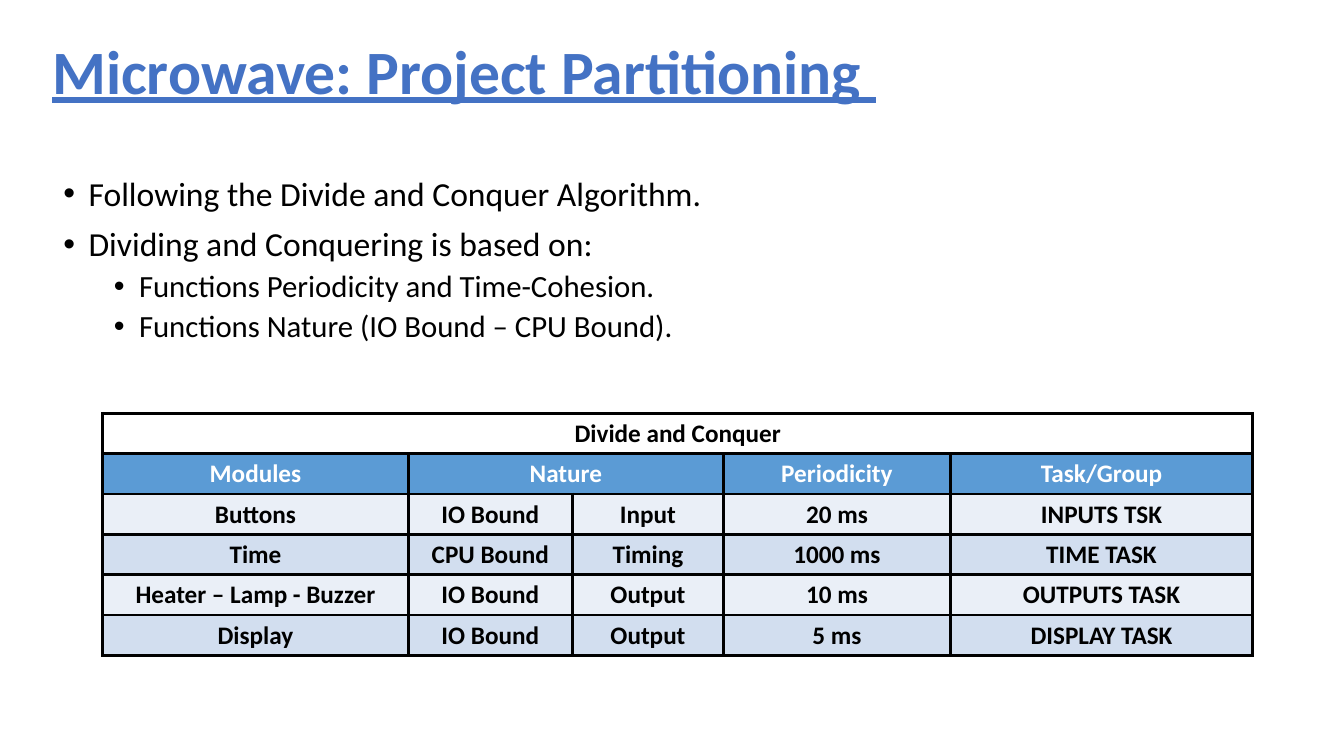
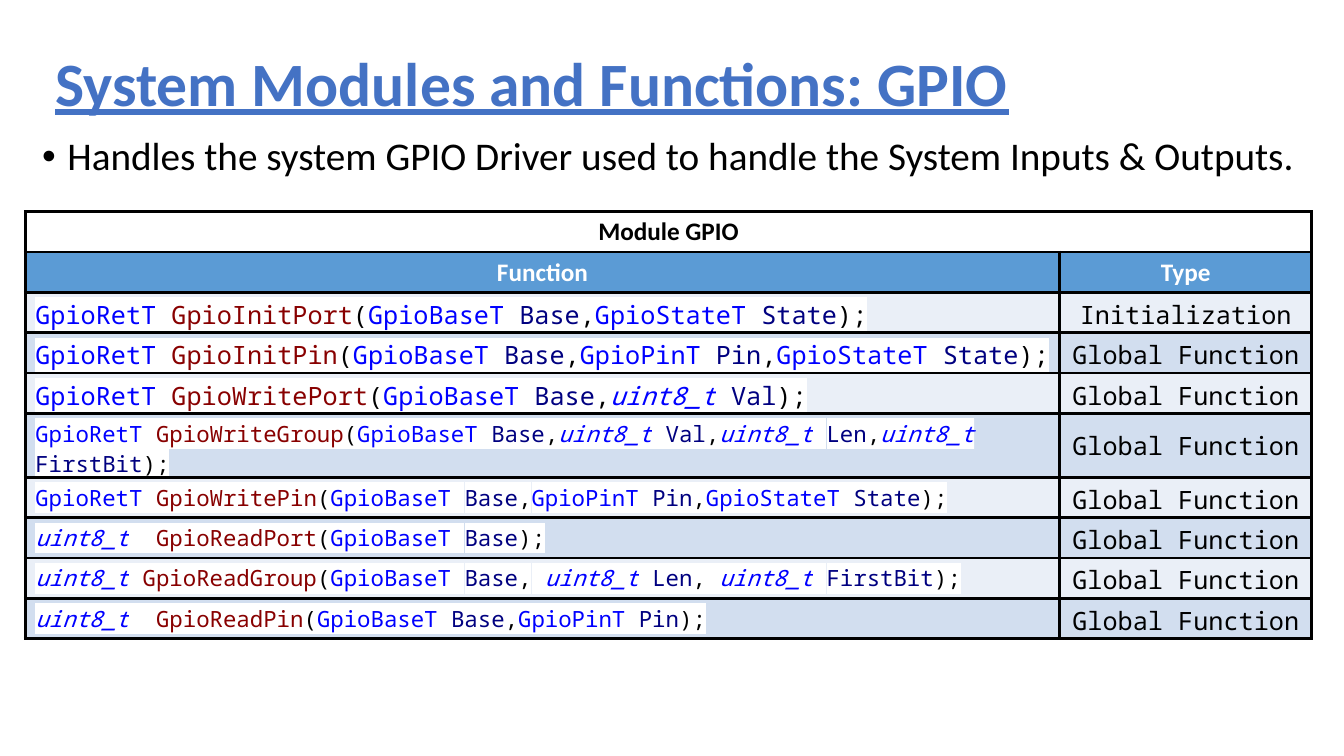
from dataclasses import dataclass
from typing import Optional

from lxml.etree import SubElement
from pptx import Presentation
from pptx.dml.color import RGBColor
from pptx.enum.text import MSO_ANCHOR, PP_ALIGN
from pptx.oxml.ns import qn
from pptx.util import Inches, Pt

SLIDE_WIDTH, SLIDE_HEIGHT = Inches(13.33), Inches(7.5)
BODY_FONT, CODE_FONT = "Calibri", "Noto Sans Mono"
BLACK, WHITE, ACCENT = "000000", "FFFFFF", "4472C4"
HEADING_FILL, BAND_FILLS = "5B9BD5", ("EAEFF7", "D2DEEF")
TYPE_NAME, FUNCTION_NAME, PARAMETER_NAME, SPACE = "0000FF", "880000", "000080", "A31515"
ROW_SHARE = 5.33
BORDER_POINTS = 2.25


@dataclass(frozen=True)
class Area:
    """A rectangle in percent of the slide's width and height."""
    left: float
    top: float
    width: float
    height: float = 0

    def box(self) -> tuple:
        """Return left, top, width and height as lengths."""
        return (across(self.left), down(self.top), across(self.width), down(self.height))


@dataclass(frozen=True)
class Piece:
    """A run of text with its character style."""
    text: str
    size: float = 18
    color: str = BLACK
    font: str = BODY_FONT
    bold: bool = False
    italic: bool = False
    underline: bool = False
    highlight: Optional[str] = None


@dataclass(frozen=True)
class Bullet:
    """One bulleted line."""
    text: str
    size: float
    level: int = 0


@dataclass(frozen=True)
class Cell:
    """The runs of a table cell and their alignment."""
    pieces: tuple
    align: PP_ALIGN = PP_ALIGN.CENTER


@dataclass(frozen=True)
class Signature:
    """A C function: return type, name and (type, name) parameters."""
    returns: str
    name: str
    parameters: tuple
    size: float = 16
    name_gap: str = " "
    comma_gap: str = ""
    kind: str = "Global Function"


def across(share: float) -> int:
    """Turn a percentage of the slide's width into a length."""
    return round(SLIDE_WIDTH * share / 100)


def down(share: float) -> int:
    """Turn a percentage of the slide's height into a length."""
    return round(SLIDE_HEIGHT * share / 100)


def rgb(color: str) -> RGBColor:
    """Turn a hex string into a colour."""
    return RGBColor.from_string(color)


def add_piece(paragraph, piece: Piece) -> None:
    """Append one styled run to a paragraph."""
    run = paragraph.add_run()
    run.text = piece.text
    font = run.font
    font.name, font.size = piece.font, Pt(piece.size)
    font.bold, font.italic, font.underline = piece.bold, piece.italic, piece.underline
    font.color.rgb = rgb(piece.color)
    if piece.highlight:
        properties = font._element
        highlight = SubElement(properties, qn("a:highlight"))
        SubElement(highlight, qn("a:srgbClr"), val=piece.highlight)
        properties.find(qn("a:solidFill")).addnext(highlight)


def add_text_frame(slide, area: Area, anchor: MSO_ANCHOR):
    """Add a wrapping text box and return its text frame."""
    frame = slide.shapes.add_textbox(*area.box()).text_frame
    frame.word_wrap = True
    frame.vertical_anchor = anchor
    return frame


def add_title(slide, text: str, area: Area) -> None:
    """Draw the underlined slide title."""
    paragraph = add_text_frame(slide, area, MSO_ANCHOR.MIDDLE).paragraphs[0]
    paragraph.line_spacing = 0.9
    add_piece(paragraph, Piece(text, 44, ACCENT, bold=True, underline=True))


def add_bullets(slide, bullets: tuple, area: Area) -> None:
    """Draw the bulleted lines, indented by level."""
    frame = add_text_frame(slide, area, MSO_ANCHOR.TOP)
    for index, bullet in enumerate(bullets):
        paragraph = frame.add_paragraph() if index else frame.paragraphs[0]
        paragraph.level = bullet.level
        paragraph.line_spacing = 0.9
        paragraph.space_before = Pt(5 if bullet.level else 10)
        properties = paragraph._p.get_or_add_pPr()
        properties.set("marL", str(Inches(0.25 + 0.5 * bullet.level)))
        properties.set("indent", str(-Inches(0.25)))
        SubElement(properties, qn("a:buFont"), typeface="Arial")
        SubElement(properties, qn("a:buChar"), char="•")
        add_piece(paragraph, Piece(bullet.text, bullet.size))


def add_borders(cell) -> None:
    """Give a table cell black lines on all four sides."""
    properties = cell._tc.get_or_add_tcPr()
    for position, side in enumerate(("lnL", "lnR", "lnT", "lnB")):
        line = SubElement(properties, qn(f"a:{side}"), w=str(Pt(BORDER_POINTS)))
        fill = SubElement(line, qn("a:solidFill"))
        SubElement(fill, qn("a:srgbClr"), val=BLACK)
        properties.insert(position, line)


def row_fill(row: int) -> str:
    """Choose the fill for the caption, the headings or a banded row."""
    return (WHITE, HEADING_FILL)[row] if row < 2 else BAND_FILLS[row % 2]


def add_grid(slide, rows: list, area: Area, widths: tuple) -> None:
    """Draw a table; a None cell extends the cell on its left."""
    left, top, width, _ = area.box()
    height = down(ROW_SHARE * len(rows))
    table = slide.shapes.add_table(len(rows), len(widths), left, top, width, height).table
    table.first_row = table.horz_banding = False
    for column, share in zip(table.columns, widths):
        column.width = round(width * share / sum(widths))
    for row_index, row in enumerate(rows):
        table.rows[row_index].height = down(ROW_SHARE)
        for column_index, content in enumerate(row):
            cell = table.cell(row_index, column_index)
            cell.fill.solid()
            cell.fill.fore_color.rgb = rgb(row_fill(row_index))
            add_borders(cell)
            if content is None:
                continue
            end = column_index
            while end + 1 < len(row) and row[end + 1] is None:
                end += 1
            if end > column_index:
                cell.merge(table.cell(row_index, end))
            cell.vertical_anchor = MSO_ANCHOR.MIDDLE
            paragraph = cell.text_frame.paragraphs[0]
            paragraph.alignment = content.align
            for piece in content.pieces:
                add_piece(paragraph, piece)


def bold_row(texts: tuple, color: str = BLACK) -> list:
    """Make a row of bold cells, keeping None for extended cells."""
    return [text and Cell((Piece(text, color=color, bold=True),)) for text in texts]


def signature_cell(signature: Signature) -> Cell:
    """Colour the parts of a function signature."""
    def code(text: str, color: str) -> Piece:
        """Style one token; built-in types are italic."""
        return Piece(text, signature.size, color, CODE_FONT,
                     italic=text == "uint8_t", highlight=WHITE)

    pieces = [code(signature.returns, TYPE_NAME), code(signature.name_gap, SPACE),
              code(signature.name, FUNCTION_NAME), code("(", BLACK)]
    for index, (type_name, name) in enumerate(signature.parameters):
        if index:
            pieces.append(code(",", BLACK))
            if signature.comma_gap:
                pieces.append(code(signature.comma_gap, SPACE))
        pieces += [code(type_name, TYPE_NAME), code(" ", SPACE), code(name, PARAMETER_NAME)]
    return Cell((*pieces, code(");", BLACK)), PP_ALIGN.LEFT)


def signature_row(signature: Signature) -> list:
    """Make the table row of one function."""
    return [signature_cell(signature), Cell((Piece(signature.kind, font=CODE_FONT),))]


PARTITION_BULLETS = (
    Bullet("Following the Divide and Conquer Algorithm.", 24),
    Bullet("Dividing and Conquering is based on:", 24),
    Bullet("Functions Periodicity and Time-Cohesion. ", 22, 1),
    Bullet("Functions Nature (IO Bound – CPU Bound).", 22, 1),
)
MODULES = (
    ("Buttons", "IO Bound", "Input", "20 ms", "INPUTS TSK"),
    ("Time", "CPU Bound", "Timing", "1000 ms", "TIME TASK"),
    ("Heater – Lamp - Buzzer", "IO Bound", "Output", "10 ms", "OUTPUTS TASK"),
    ("Display", "IO Bound", "Output", "5 ms", "DISPLAY TASK"),
)
BASE, PIN, STATE = ("GpioBaseT", "Base"), ("GpioPinT", "Pin"), ("GpioStateT", "State")
VAL, LEN, FIRST_BIT = (("uint8_t", name) for name in ("Val", "Len", "FirstBit"))
GPIO_FUNCTIONS = (
    Signature("GpioRetT", "GpioInitPort", (BASE, STATE), 18, kind="Initialization"),
    Signature("GpioRetT", "GpioInitPin", (BASE, PIN, STATE), 18),
    Signature("GpioRetT", "GpioWritePort", (BASE, VAL), 18),
    Signature("GpioRetT", "GpioWriteGroup", (BASE, VAL, LEN, FIRST_BIT)),
    Signature("GpioRetT", "GpioWritePin", (BASE, PIN, STATE)),
    Signature("uint8_t", "GpioReadPort", (BASE,), name_gap="  "),
    Signature("uint8_t", "GpioReadGroup", (BASE, LEN, FIRST_BIT), comma_gap=" "),
    Signature("uint8_t", "GpioReadPin", (BASE, PIN), name_gap="  "),
)


def draw_partitioning(slide) -> None:
    """Draw the project partitioning slide."""
    add_bullets(slide, PARTITION_BULLETS, Area(3.98, 22.8, 94.72, 26.93))
    add_title(slide, "Microwave: Project Partitioning ", Area(3.15, 4.4, 86.25, 10.8))
    rows = [bold_row(("Divide and Conquer", None, None, None, None)),
            bold_row(("Modules", "Nature", None, "Periodicity", "Task/Group"), WHITE),
            *map(bold_row, MODULES)]
    add_grid(slide, rows, Area(7.65, 54.67, 85.57), (3.03, 1.63, 1.5, 2.25, 3))


def draw_gpio(slide) -> None:
    """Draw the GPIO module slide."""
    add_title(slide, "System Modules and Functions: GPIO", Area(3.38, 5.33, 95.2, 12.13))
    summary = "Handles the system GPIO Driver used to handle the System Inputs & Outputs."
    add_bullets(slide, (Bullet(summary, 28),), Area(2.4, 17.47, 95.2, 23.73))
    rows = [bold_row(("Module GPIO", None)),
            bold_row(("Function", "Type"), WHITE),
            *map(signature_row, GPIO_FUNCTIONS)]
    add_grid(slide, rows, Area(1.88, 28, 95.72), (10.26, 2.5))


def main() -> None:
    """Build and save the presentation."""
    deck = Presentation()
    deck.slide_width, deck.slide_height = SLIDE_WIDTH, SLIDE_HEIGHT
    for draw in (draw_partitioning, draw_gpio):
        draw(deck.slides.add_slide(deck.slide_layouts[6]))
    deck.save("out.pptx")


main()
